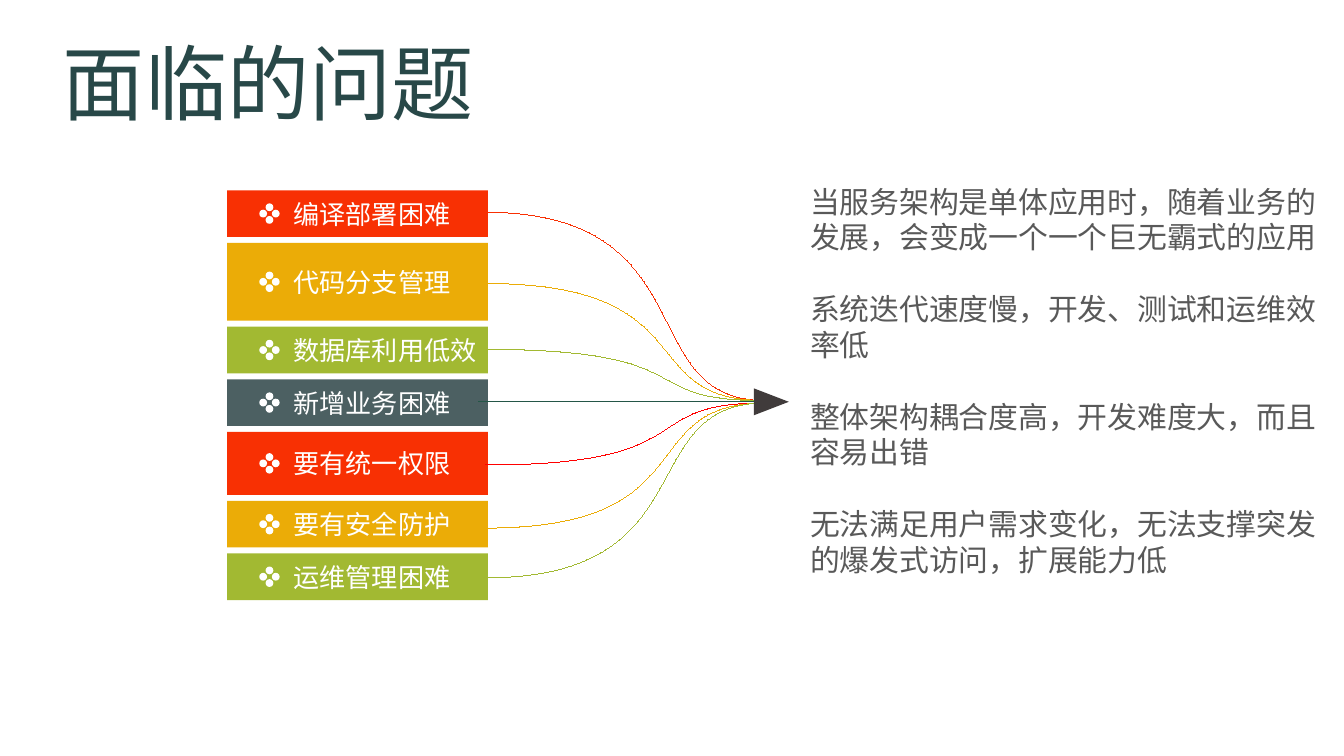
"""Build the slide on the problems of a single-block service architecture."""
from dataclasses import dataclass

from lxml import etree
from pptx import Presentation, util as u
from pptx.dml.color import RGBColor
from pptx.enum import shapes, text
from pptx.oxml.ns import qn


@dataclass(frozen=True)
class Theme:
    font: str = "Noto Sans CJK SC"
    red: str = "F83003"
    gold: str = "EBAC07"
    green: str = "A2B932"
    slate: str = "4C6062"
    pure: str = "FF0000"
    pine: str = "245647"
    tip: str = "403B3B"
    white: str = "FFFFFF"
    body: str = "595959"
    title: str = "284848"
    big: int = 44
    mid: int = 16
    small: int = 14
    lead: float = 1.2
    hair: int = 1


@dataclass(frozen=True)
class Bar:
    label: str
    rows: float
    port: float
    fill: str
    line: str


@dataclass(frozen=True)
class Box:
    col: float
    row: float
    cols: float
    rows: float


T = Theme()
COLS, ROWS = 100, 56.25
UNIT = u.Inches(0.1)
LEFT, TOP, WIDE, GAP = 16.9, 14.16, 19.4, 0.44
START, END, HUB = 36.1, 57.4, 29.9
DOT, ORBIT, ICON = 0.58, 0.47, 20.05
BARS = [
    Bar("编译部署困难", 3.47, 15.8, T.red, T.red),
    Bar("代码分支管理", 5.8, 21.1, T.gold, T.gold),
    Bar("数据库利用低效", 3.47, 26, T.green, T.green),
    Bar("新增业务困难", 3.47, HUB, T.slate, T.pine),
    Bar("要有统一权限", 4.7, 34.6, T.red, T.pure),
    Bar("要有安全防护", 3.47, 39.3, T.gold, T.gold),
    Bar("运维管理困难", 3.47, 43, T.green, T.green),
]
NOTES = [
    "当服务架构是单体应用时，随着业务的发展，会变成一个一个巨无霸式的应用",
    "系统迭代速度慢，开发、测试和运维效率低",
    "整体架构耦合度高，开发难度大，而且容易出错",
    "无法满足用户需求变化，无法支撑突发的爆发式访问，扩展能力低",
]


def grid(*cells: float) -> list[int]:
    """Turn grid cells into slide lengths."""
    return [round(cell * UNIT) for cell in cells]


def paint(shape, fill: str) -> None:
    """Give a shape a flat fill with no outline or shadow."""
    shape.shadow.inherit = False
    shape.fill.solid()
    shape.fill.fore_color.rgb = RGBColor.from_string(fill)
    shape.line.fill.background()


def ink(line, color: str) -> None:
    """Make a line a hairline of one colour."""
    line.color.rgb = RGBColor.from_string(color)
    line.width = u.Emu(T.hair)


def form(home, kind, box: Box, fill: str) -> None:
    """Add a painted preset shape."""
    paint(home.add_shape(kind, *grid(box.col, box.row, box.cols, box.rows)), fill)


def trace(home, dots: list[tuple[float, float]], close: bool):
    """Add an outline through grid points."""
    spots = [tuple(grid(*dot)) for dot in dots]
    pen = home.build_freeform(*spots[0], scale=1.0)
    pen.add_line_segments(spots[1:], close=close)
    return pen.convert_to_shape()


def curve(home, port: float, lean: float, color: str) -> None:
    """Bend a hairline from a bar to the hub."""
    stop = HUB - (0.1 if lean > 0 else -0.1)
    shape = trace(home, [(START, port), (53, port), (46.8, HUB + lean), (END, stop)], False)
    legs = list(shape._element.iter(qn("a:lnTo")))
    bend = etree.SubElement(legs[0].getparent(), qn("a:cubicBezTo"))
    for leg in legs:
        bend.append(leg[0])
        leg.getparent().remove(leg)
    shape.shadow.inherit = False
    shape.fill.background()
    ink(shape.line, color)


def ray(home, color: str) -> None:
    """Draw the straight hairline to the hub."""
    x, y, end = grid(35.6, HUB, END)
    line = home.add_connector(shapes.MSO_CONNECTOR.STRAIGHT, x, y, end, y)
    ink(line.line, color)
    etree.SubElement(line._element.spPr, qn("a:effectLst"))


def mark(home, mid: float) -> None:
    """Add a bullet of four dots around a centre."""
    group = home.add_group_shape().shapes
    for x, y in ((0, -1), (1, 0), (-1, 0), (0, 1)):
        box = Box(ICON + x * ORBIT - DOT / 2, mid + y * ORBIT - DOT / 2, DOT, DOT)
        form(group, shapes.MSO_SHAPE.OVAL, box, T.white)


def write(home, box: Box, lines: list[str], size: int, color: str,
          wrap: bool = False, anchor=text.MSO_ANCHOR.TOP) -> None:
    """Add a text box with one paragraph per line."""
    frame = home.add_textbox(*grid(box.col, box.row, box.cols, box.rows)).text_frame
    frame.word_wrap = wrap
    frame.vertical_anchor = anchor
    frame.text = "\n".join(lines)
    for rank, para in enumerate(frame.paragraphs):
        para.line_spacing = u.Pt(size * T.lead)
        if rank:
            para.space_before = u.Pt(size * T.lead)
        for run in para.runs:
            run.font.name = T.font
            run.font.size = u.Pt(size)
            run.font.color.rgb = RGBColor.from_string(color)
            face = etree.SubElement(run.font._element, qn("a:ea"))
            face.set("typeface", T.font)


def main() -> None:
    """Build and save the slide."""
    deck = Presentation()
    deck.slide_width, deck.slide_height = grid(COLS, ROWS)
    home = deck.slides.add_slide(deck.slide_layouts[6]).shapes
    mids, row = [], TOP
    for bar in BARS:
        form(home, shapes.MSO_SHAPE.RECTANGLE, Box(LEFT, row, WIDE, bar.rows), bar.fill)
        mids.append(row + bar.rows / 2)
        row += bar.rows + GAP
    for rank, bar in enumerate(BARS):
        lean = (len(BARS) // 2 - rank) / 10
        if lean:
            curve(home, bar.port, lean, bar.line)
        else:
            ray(home, bar.line)
    paint(trace(home, [(56.1, 28.9), (58.7, HUB), (56.1, 30.9)], True), T.tip)
    for bar, mid in zip(BARS, mids):
        mark(home, mid)
        cols = 1.95 * len(bar.label) + 2
        write(home, Box(20.85, mid - 1.7, cols, 3.4), [bar.label], T.small, T.white,
              anchor=text.MSO_ANCHOR.MIDDLE)
    write(home, Box(59.3, 13.15, 40.1, 34.3), NOTES, T.mid, T.body, wrap=True)
    write(home, Box(3.7, 1.9, 32.6, 8.4), ["面临的问题"], T.big, T.title)
    deck.save("out.pptx")


if __name__ == "__main__":
    main()
